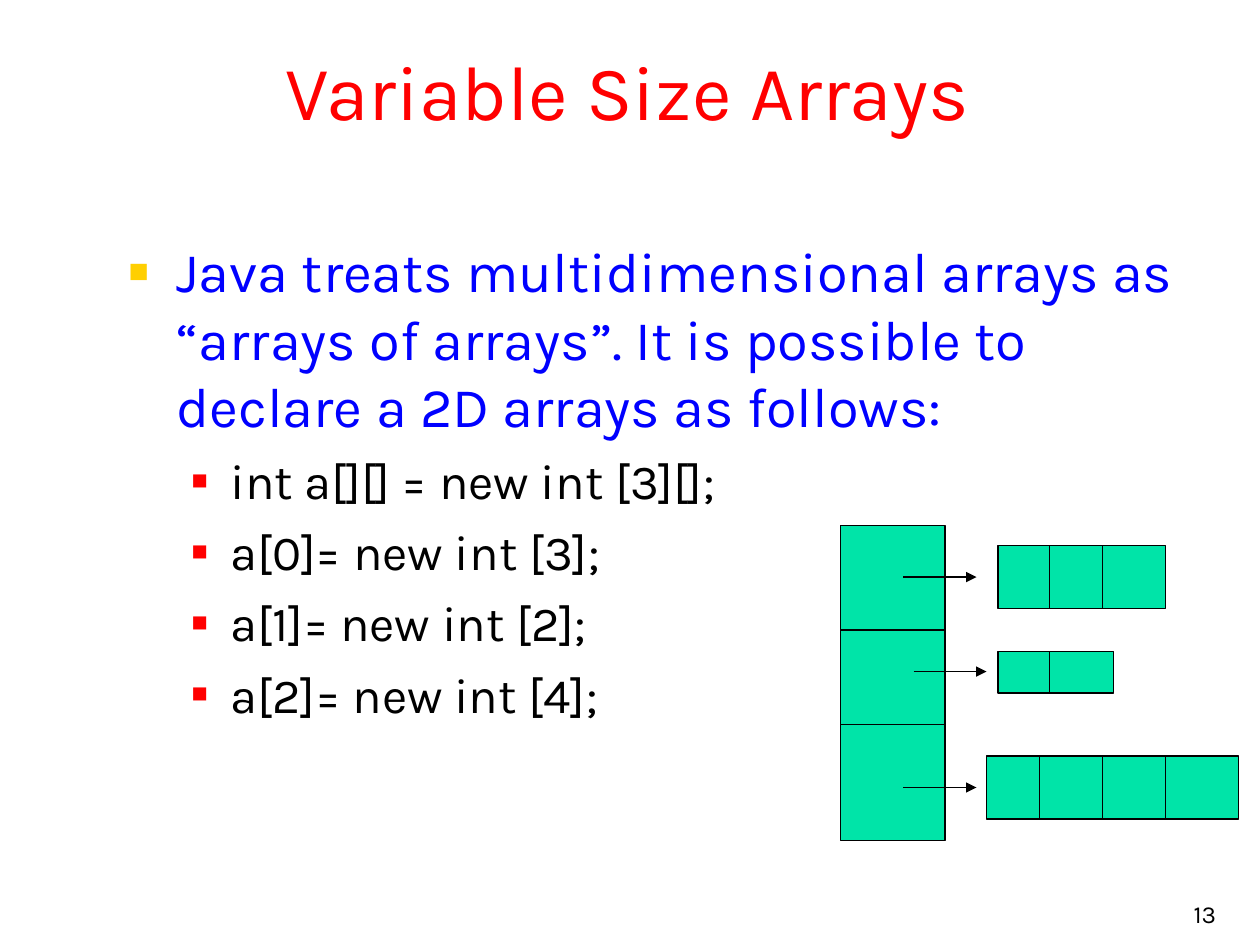
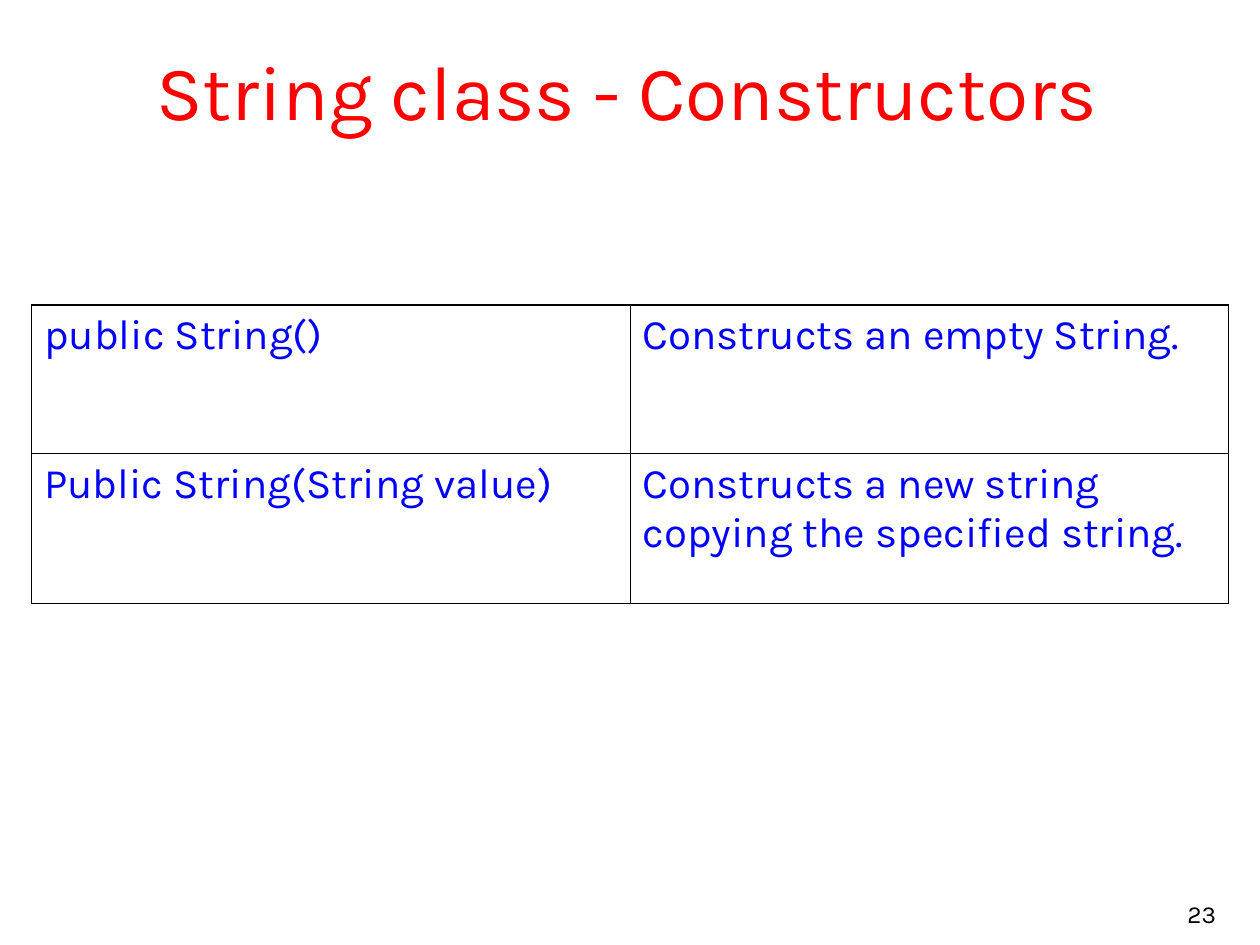
from dataclasses import dataclass

from lxml.etree import SubElement
from pptx import Presentation
from pptx.dml.color import RGBColor
from pptx.enum.shapes import MSO_CONNECTOR, MSO_SHAPE
from pptx.enum.text import MSO_ANCHOR, MSO_AUTO_SIZE, PP_ALIGN
from pptx.oxml.ns import qn
from pptx.slide import Slide
from pptx.util import Inches, Pt

FONT = "Karla"
COLORS = {
    "title": "FF0000",
    "text": "0000FF",
    "code": "000000",
    "line": "000000",
    "array": "00E4A8",
    "bullet": "FFCF01",
    "sub_bullet": "FF0000",
    "background": "FFFFFF",
}
LINE_WIDTH = 0.75
OUTER_BORDER, INNER_BORDER = 1.08, 0.45


@dataclass(frozen=True)
class ListLevel:
    size: int
    color: str
    bullet_color: str
    bullet_percent: int
    margin: float
    hanging: float
    space_before: int


@dataclass(frozen=True)
class ArrayBox:
    left: float
    top: float
    width: float
    height: float
    column_edges: tuple[float, ...] = ()
    row_edges: tuple[float, ...] = ()


@dataclass(frozen=True)
class Pointer:
    left: float
    y: float
    length: float = 0.58


LEVELS = [
    ListLevel(32, "text", "bullet", 60, 0.38, 0.38, 8),
    ListLevel(28, "code", "sub_bullet", 55, 0.81, 0.31, 7),
]
ARRAY_LIST = [
    (0, "Java treats multidimensional arrays as “arrays of arrays”. "
        "It is possible to declare a 2D arrays as follows:"),
    (1, "int a[][] = new int [3][];"),
    (1, "a[0]= new int [3];"),
    (1, "a[1]= new int [2];"),
    (1, "a[2]= new int [4];"),
]
ARRAYS = [
    ArrayBox(6.67, 4.17, 0.83, 2.5, row_edges=(5, 5.75)),
    ArrayBox(7.92, 4.33, 1.33, 0.5, column_edges=(8.33, 8.75)),
    ArrayBox(7.92, 5.17, 0.92, 0.33, column_edges=(8.33,)),
    ArrayBox(7.83, 6, 2, 0.5, column_edges=(8.25, 8.75, 9.25)),
]
POINTERS = [Pointer(7.17, 4.58), Pointer(7.25, 5.33), Pointer(7.17, 6.25)]
CONSTRUCTORS = [
    ("public String()", "Constructs an empty String."),
    ("Public String(String value)",
     "Constructs a new string copying the specified string."),
]
COLUMN_WIDTH = 4.75
ROW_HEIGHTS = [1.18, 1.19]


def rgb(name: str) -> RGBColor:
    return RGBColor.from_string(COLORS[name])


def place(shape, left: float, top: float, width: float, height: float) -> None:
    shape.left, shape.top = Inches(left), Inches(top)
    shape.width, shape.height = Inches(width), Inches(height)


def add_run(p, text: str, size: int, color: str) -> None:
    r = p.add_run()
    r.text = text
    r.font.name = FONT
    r.font.size = Pt(size)
    r.font.color.rgb = rgb(color)


def add_base_slide(prs, layout: int, title: str, number: int) -> Slide:
    s = prs.slides.add_slide(prs.slide_layouts[layout])
    s.background.fill.solid()
    s.background.fill.fore_color.rgb = rgb("background")

    heading = s.shapes.title
    place(heading, 0.17, 0.17, 9.62, 1.08)
    heading.fill.solid()
    heading.fill.fore_color.rgb = rgb("background")
    tf = heading.text_frame
    tf.auto_size = MSO_AUTO_SIZE.NONE
    tf.vertical_anchor = MSO_ANCHOR.MIDDLE
    p = tf.paragraphs[0]
    p.alignment = PP_ALIGN.CENTER
    add_run(p, title, 44, "title")

    footer = s.shapes.add_textbox(
        Inches(7.67), Inches(6.92), Inches(2.08), Inches(0.5))
    tf = footer.text_frame
    tf.word_wrap = True
    tf.vertical_anchor = MSO_ANCHOR.BOTTOM
    p = tf.paragraphs[0]
    p.alignment = PP_ALIGN.RIGHT
    add_run(p, str(number), 14, "code")
    return s


def set_bullet(p, level: ListLevel) -> None:
    pPr = p._p.get_or_add_pPr()
    pPr.set("marL", str(Inches(level.margin)))
    pPr.set("indent", str(-Inches(level.hanging)))
    color = SubElement(pPr, qn("a:buClr"))
    SubElement(color, qn("a:srgbClr"), val=COLORS[level.bullet_color])
    SubElement(pPr, qn("a:buSzPct"), val=str(level.bullet_percent * 1000))
    SubElement(pPr, qn("a:buFont"), typeface="Arial")
    SubElement(pPr, qn("a:buChar"), char="■")


def fill_list(body, items: list[tuple[int, str]]) -> None:
    tf = body.text_frame
    tf.auto_size = MSO_AUTO_SIZE.NONE
    for i, (depth, text) in enumerate(items):
        p = tf.add_paragraph() if i else tf.paragraphs[0]
        level = LEVELS[depth]
        p.level = depth
        set_bullet(p, level)
        p.space_before = Pt(level.space_before if i else 0)
        add_run(p, text, level.size, level.color)


def add_line(s: Slide, x1: float, y1: float, x2: float, y2: float,
             arrow: bool = False) -> None:
    line = s.shapes.add_connector(
        MSO_CONNECTOR.STRAIGHT, Inches(x1), Inches(y1), Inches(x2), Inches(y2))
    line.line.color.rgb = rgb("line")
    line.line.width = Pt(LINE_WIDTH)
    if arrow:
        SubElement(line.line._get_or_add_ln(), qn("a:tailEnd"), type="triangle")
    SubElement(line._element.spPr, qn("a:effectLst"))


def add_array(s: Slide, box: ArrayBox) -> None:
    shape = s.shapes.add_shape(
        MSO_SHAPE.RECTANGLE, Inches(box.left), Inches(box.top),
        Inches(box.width), Inches(box.height))
    shape.shadow.inherit = False
    shape.fill.solid()
    shape.fill.fore_color.rgb = rgb("array")
    shape.line.color.rgb = rgb("line")
    shape.line.width = Pt(LINE_WIDTH)
    for x in box.column_edges:
        add_line(s, x, box.top, x, box.top + box.height)
    for y in box.row_edges:
        add_line(s, box.left, y, box.left + box.width, y)


def set_borders(cell, outer_sides: set[str]) -> None:
    tcPr = cell._tc.get_or_add_tcPr()
    for side in "LRTB":
        width = OUTER_BORDER if side in outer_sides else INNER_BORDER
        ln = SubElement(tcPr, qn(f"a:ln{side}"), w=str(Pt(width)))
        fill = SubElement(ln, qn("a:solidFill"))
        SubElement(fill, qn("a:srgbClr"), val=COLORS["line"])


def add_constructor_table(s: Slide) -> None:
    frame = s.shapes.add_table(
        len(CONSTRUCTORS), 2, Inches(0.25), Inches(2.42),
        Inches(2 * COLUMN_WIDTH), Inches(sum(ROW_HEIGHTS)))
    table = frame.table
    table.first_row = False
    table.horz_banding = False
    for column in table.columns:
        column.width = Inches(COLUMN_WIDTH)
    for i, texts in enumerate(CONSTRUCTORS):
        table.rows[i].height = Inches(ROW_HEIGHTS[i])
        for j, text in enumerate(texts):
            cell = table.cell(i, j)
            set_borders(cell, {"TB"[i], "LR"[j]})
            cell.fill.background()
            add_run(cell.text_frame.paragraphs[0], text, 24, "text")


def build_arrays_slide(prs) -> None:
    s = add_base_slide(prs, 1, "Variable Size Arrays", 13)
    body = s.placeholders[1]
    place(body, 0.92, 1.83, 8.83, 4.87)
    fill_list(body, ARRAY_LIST)
    for box in ARRAYS:
        add_array(s, box)
    for pointer in POINTERS:
        add_line(s, pointer.left, pointer.y,
                 pointer.left + pointer.length, pointer.y, arrow=True)


def build_constructors_slide(prs) -> None:
    s = add_base_slide(prs, 5, "String class - Constructors", 23)
    add_constructor_table(s)


def main() -> None:
    prs = Presentation()
    prs.slide_width, prs.slide_height = Inches(10), Inches(7.5)
    build_arrays_slide(prs)
    build_constructors_slide(prs)
    prs.save("out.pptx")


if __name__ == "__main__":
    main()
